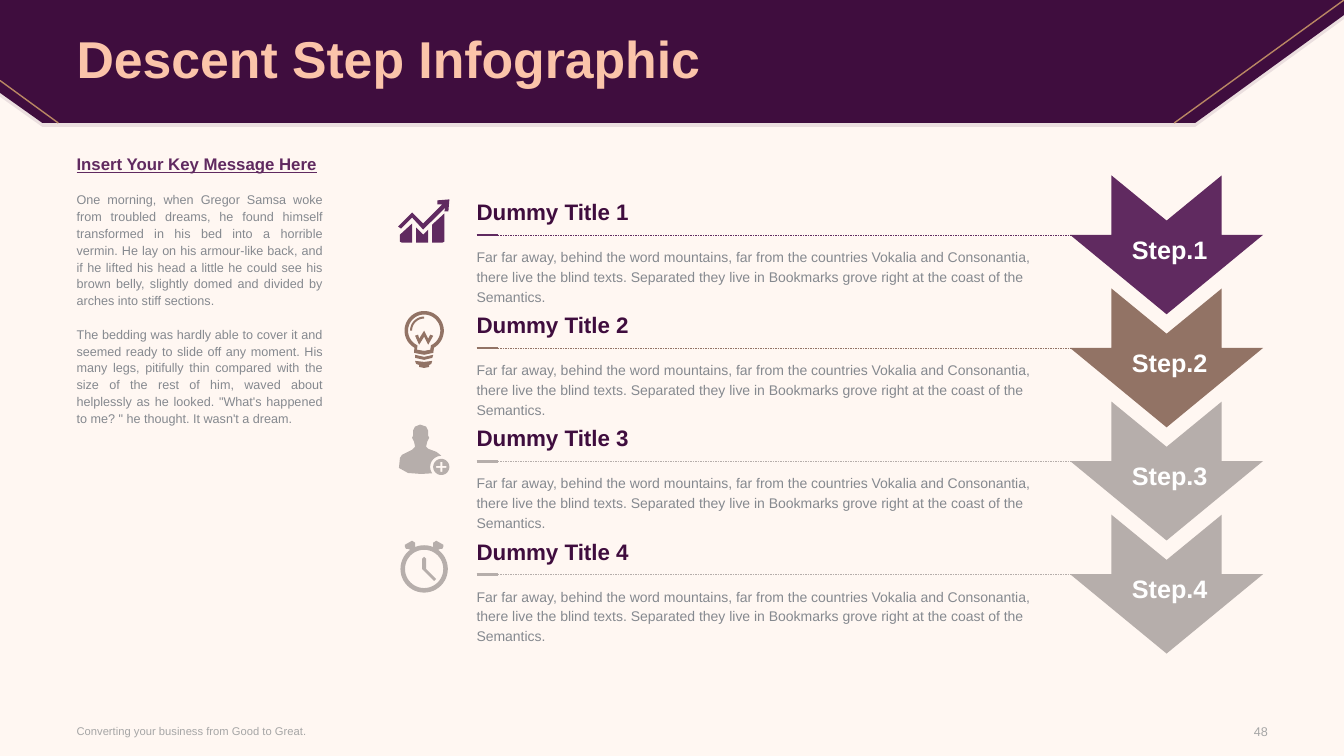
from dataclasses import dataclass
from math import cos, radians, sin

from lxml.etree import SubElement
from pptx import Presentation
from pptx.dml.color import RGBColor
from pptx.enum.dml import MSO_LINE_DASH_STYLE as Dash
from pptx.enum.shapes import MSO_CONNECTOR as Conn
from pptx.enum.text import MSO_ANCHOR as Anchor, MSO_AUTO_SIZE as Auto, PP_ALIGN as Align
from pptx.oxml.ns import qn
from pptx.util import Cm, Pt

# Content
TITLE = "Descent Step Infographic"
MESSAGE = "Insert Your Key Message Here"
STORY = [
    "One morning, when Gregor Samsa woke from troubled dreams, he found himself "
    "transformed in his bed into a horrible vermin. He lay on his armour-like back, "
    "and if he lifted his head a little he could see his brown belly, slightly domed "
    "and divided by arches into stiff sections.",
    "The bedding was hardly able to cover it and seemed ready to slide off any moment. "
    "His many legs, pitifully thin compared with the size of the rest of him, waved "
    "about helplessly as he looked. \"What's happened to me? \" he thought. "
    "It wasn't a dream.",
]
BLURB = ("Far far away, behind the word mountains, far from the countries Vokalia and "
         "Consonantia, there live the blind texts. Separated they live in Bookmarks "
         "grove right at the coast of the Semantics.")
FOOTER = "Converting your business from Good to Great."
PAGE = "48"


@dataclass(frozen=True)
class Theme:
    font: str = "Arial"
    back: str = "FFF7F2"
    dark: str = "3F0D3E"
    plum: str = "602A60"
    brown: str = "927365"
    grey: str = "B6AEAB"
    peach: str = "FBC4AA"
    gold: str = "B98763"
    text: str = "85898F"
    faint: str = "A6A6A6"
    white: str = "FFFFFF"
    title_pt: float = 37
    step_pt: float = 18
    head_pt: float = 16
    message_pt: float = 12
    blurb_pt: float = 10
    small_pt: float = 9
    footer_pt: float = 8


T = Theme()


# Icon outlines, on a fine grid from the icon's top-left corner
def arc(cx, cy, r, start=0, end=360, n=48):
    angles = [radians(start + (end - start) * i / n) for i in range(n + 1)]
    return [(cx + r * cos(a), cy + r * sin(a)) for a in angles]


EAR = [(35, 5), (38, 3), (45, 7), (45, 9), (44, 11), (42, 11), (40, 12), (35, 9)]
GROWTH = [
    [(2, 36), (14, 25), (14, 44), (4, 44), (2, 43)],
    [(18, 29), (25, 36), (30, 31), (30, 44), (18, 44)],
    [(34, 26), (46, 15), (46, 43), (44, 44), (34, 44)],
    [(0, 28), (14, 14), (25, 25), (44, 6), (39, 6), (39, 2), (51, 1), (50, 13),
     (46, 13), (47, 9), (25, 31), (14, 19), (3, 30)],
]
BULB = [
    arc(26, 19, 19.5, 120, 420) + [(35, 41), (26, 43), (16, 41)],
    arc(26, 19, 16, 115, 425) + [(32, 38), (26, 39), (19, 38)],
    arc(26, 19, 14, 180, 270) + arc(26, 19, 12, 270, 180),
    [(30, 27), (26, 19), (21, 27), (20, 23), (17, 24), (21, 33), (26, 25),
     (30, 33), (35, 24), (32, 23)],
    [(17, 43), (26, 45), (35, 43), (34, 46), (26, 48), (17, 46)],
    [(17, 49), (26, 50), (34, 49), (33, 52), (31, 53), (31, 55), (26, 56),
     (21, 55), (21, 53), (18, 52)],
]
PERSON = [
    [(22, 0), (28, 2), (30, 6), (30, 11), (31, 13), (29, 17), (28, 22), (30, 24),
     (38, 27), (42, 30)] + arc(43, 42, 11, 270, 145)
    + [(23, 49), (10, 48), (1, 43), (2, 33), (4, 30), (14, 25), (17, 22), (16, 17),
       (14, 13), (15, 11), (15, 6), (17, 2)],
    arc(43, 42, 8),
    [(42, 37), (44, 37), (44, 41), (48, 41), (48, 43), (44, 43), (44, 47), (42, 47),
     (42, 43), (38, 43), (38, 41), (42, 41)],
]
CLOCK = [
    arc(26, 31, 23.5), arc(26, 31, 19),
    [(24, 21), (26, 19), (28, 21), (28, 31), (38, 41), (36, 43), (26, 33), (24, 31)],
    EAR, [(52 - x, y) for x, y in EAR],
]
ROWS = [("Dummy Title 1", "Step.1", T.plum, GROWTH),
        ("Dummy Title 2", "Step.2", T.brown, BULB),
        ("Dummy Title 3", "Step.3", T.grey, PERSON),
        ("Dummy Title 4", "Step.4", T.grey, CLOCK)]

# Layout in centimetres
SLIDE_W, SLIDE_H = 33.87, 19.05
MARGIN = 1.93
ROW_TOP, ROW_PITCH = 5.0, 2.85
ICON_X, ICON_GRID = 10.03, 0.0254
TEXT_X, TEXT_W = 12.01, 14.22
ACCENT_END, RULE_END = 12.55, 28.02
ARROW_X, ARROW_W = 26.97, 4.86
BAND_H = 3.1
BAND = [(0, 0), (SLIDE_W, 0), (SLIDE_W, 0.38), (30.12, BAND_H), (1.07, BAND_H), (0, 2.34)]
ARROW = [(ARROW_W, 1.5), (2.43, 3.5), (0, 1.5), (1.04, 1.5), (1.04, 0), (2.43, 1.14),
         (3.82, 0), (3.82, 1.5)]

prs = Presentation()
prs.slide_width, prs.slide_height = Cm(SLIDE_W), Cm(SLIDE_H)
s = prs.slides.add_slide(prs.slide_layouts[1])


def rgb(color):
    return RGBColor.from_string(color)


def outline(contours, color, x=0, y=0, grid=1):
    paths = [[(Cm(x + px * grid), Cm(y + py * grid)) for px, py in c] for c in contours]
    fb = s.shapes.build_freeform(*paths[0][0])
    for i, path in enumerate(paths):
        if i:
            fb.move_to(*path[0])
        fb.add_line_segments(path[1:], close=True)
    sp = fb.convert_to_shape()
    sp.shadow.inherit = False
    sp.fill.solid()
    sp.fill.fore_color.rgb = rgb(color)
    sp.line.fill.background()
    return sp


def rule(x1, y1, x2, y2, color, width, dash=None):
    cxn = s.shapes.add_connector(Conn.STRAIGHT, Cm(x1), Cm(y1), Cm(x2), Cm(y2))
    cxn.line.color.rgb, cxn.line.width = rgb(color), Pt(width)
    if dash:
        cxn.line.dash_style = dash
    SubElement(cxn._element.spPr, qn("a:effectLst"))


def frame(sp, x, y, w, h, anchor=Anchor.TOP):
    sp.left, sp.top, sp.width, sp.height = Cm(x), Cm(y), Cm(w), Cm(h)
    tf = sp.text_frame
    tf.word_wrap, tf.auto_size, tf.vertical_anchor = True, Auto.NONE, anchor
    tf.margin_left = tf.margin_top = tf.margin_right = tf.margin_bottom = 0
    return tf


def style(p, size, color, bold=False, align=Align.LEFT, spacing=None, before=0):
    p.alignment, p.line_spacing, p.space_before = align, spacing, Pt(before)
    for r in p.runs:
        r.font.name, r.font.size, r.font.bold = T.font, Pt(size), bold
        r.font.color.rgb = rgb(color)


def label(text, x, y, w, h, *look, anchor=Anchor.TOP, **more):
    tf = frame(s.shapes.add_textbox(0, 0, 0, 0), x, y, w, h, anchor)
    tf.text = text
    style(tf.paragraphs[0], *look, **more)


# Background and header band
s.background.fill.solid()
s.background.fill.fore_color.rgb = rgb(T.back)
shade = outline([BAND], T.dark, y=0.1)
tint = shade._element.spPr.find(qn("a:solidFill"))[0]
SubElement(tint, qn("a:alpha"), val="10000")
outline([BAND], T.dark)
rule(SLIDE_W, 0, 29.59, BAND_H, T.gold, 1)
rule(0, 2.03, 1.47, BAND_H, T.gold, 1)

# Title, brought in front of the band
title, body = s.shapes.title, s.placeholders[1]
for sp in (title, body):
    s.shapes._spTree.append(sp._element)
tf = frame(title, MARGIN, 0.08, 30, 2.97, Anchor.MIDDLE)
tf.text = TITLE
style(tf.paragraphs[0], T.title_pt, T.peach, True, spacing=0.9)

# Key message
tf = frame(body, MARGIN, 3.96, 6.2, 13.18)
tf.text = "\n".join([MESSAGE] + STORY)
for i, p in enumerate(tf.paragraphs):
    pPr = p._p.get_or_add_pPr()
    pPr.set("marL", "0")
    pPr.set("indent", "0")
    SubElement(pPr, qn("a:buNone"))
    look = (T.small_pt, T.text) if i else (T.message_pt, T.plum, True)
    style(p, *look, align=Align.JUSTIFY, spacing=Pt(12), before=12 if i else 0)
tf.paragraphs[0].runs[0].font.underline = True

# Steps
for i, (head, step, color, icon) in enumerate(ROWS):
    y = ROW_TOP + i * ROW_PITCH
    outline(icon, color, ICON_X, y, ICON_GRID)
    label(head, TEXT_X, y, TEXT_W, 0.69, T.head_pt, T.dark, True)
    rule(TEXT_X, y + 0.92, ACCENT_END, y + 0.92, color, 2)
    rule(ACCENT_END, y + 0.92, RULE_END, y + 0.92, color, 0.25, Dash.DASH)
    label(BLURB, TEXT_X, y + 1.2, TEXT_W, 1.5, T.blurb_pt, T.text, spacing=Pt(14))
    outline([ARROW], color, ARROW_X, y - 0.58)
    label(step, ARROW_X + 0.06, y + 0.9, 4.9, 0.77, T.step_pt, T.white, True, Align.CENTER)

# Footer
label(FOOTER, MARGIN, 18.08, 13.28, 0.66, T.footer_pt, T.faint, anchor=Anchor.MIDDLE)
label(PAGE, 30.35, 18.11, 1.6, 0.66, T.small_pt, T.faint, align=Align.RIGHT,
      anchor=Anchor.MIDDLE)

prs.save("out.pptx")
